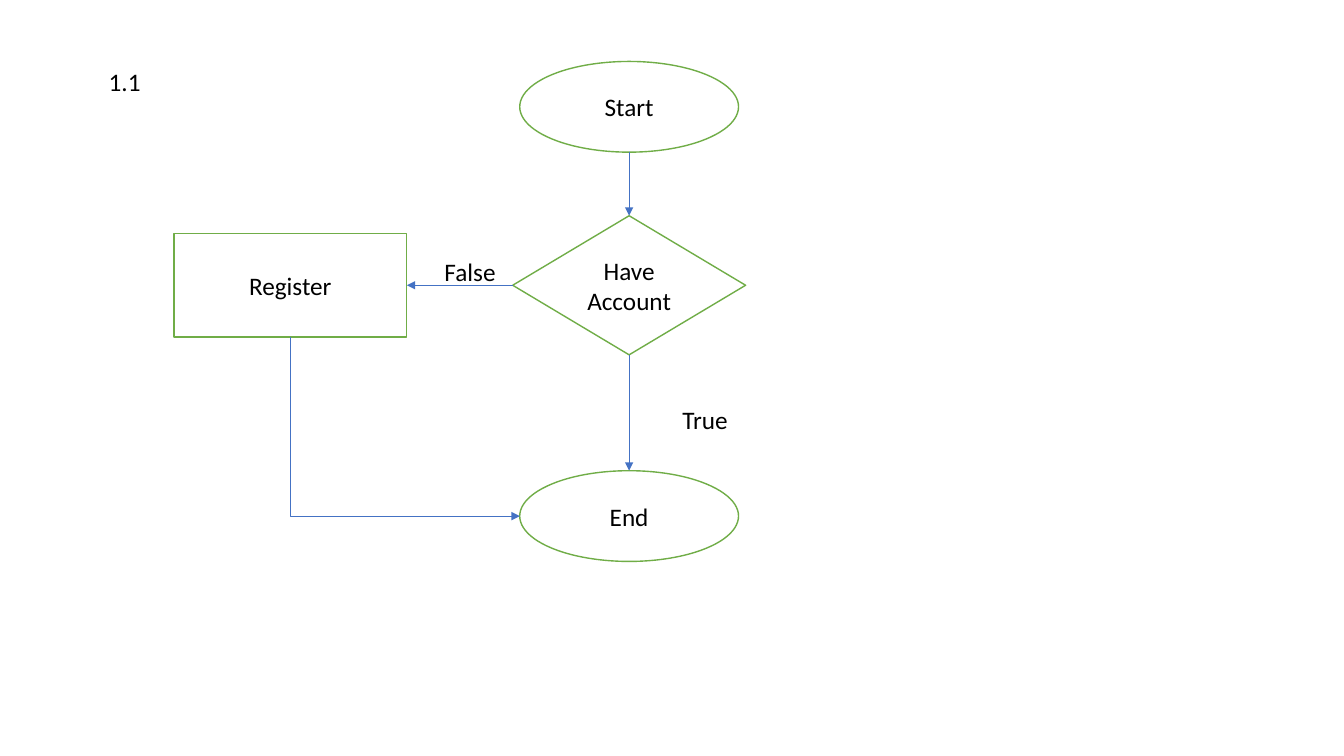
from lxml import etree
from pptx import Presentation, util as u
from pptx.dml.color import RGBColor
from pptx.enum import shapes, text
from pptx.oxml.ns import qn

GREEN, BLUE, WHITE, BLACK = "70AD47", "4472C4", "FFFFFF", "000000"
COLUMNS = {"side": 2.88, "main": 6.24}
ROWS = {"start": 1.06, "decision": 2.83, "end": 5.12}
KINDS = shapes.MSO_SHAPE
OVAL_SIZE = (2.17, 0.9)
SITES = {"top": 0, "left": 1, "bottom": 2, "right": 3}


def paint(color_format, color):
    """Set a colour format from a hex string."""
    color_format.rgb = RGBColor.from_string(color)


def write(shape, words, alignment):
    """Put words into a shape in the slide's text style."""
    shape.text_frame.text = words
    paragraph = shape.text_frame.paragraphs[0]
    paragraph.alignment = alignment
    font = paragraph.runs[0].font
    font.name, font.size = "Calibri", u.Pt(18)
    paint(font.color, BLACK)


def add_node(slide, kind, column, row, size, words):
    """Add a flowchart node centred on a grid column and row."""
    width, height = size
    left, top = COLUMNS[column] - width / 2, ROWS[row] - height / 2
    shape = slide.shapes.add_shape(kind, *map(u.Inches, (left, top, width, height)))
    shape.shadow.inherit = False
    shape.fill.solid()
    paint(shape.fill.fore_color, WHITE)
    paint(shape.line.color, GREEN)
    shape.line.width = u.Pt(1)
    shape.text_frame.vertical_anchor = text.MSO_ANCHOR.MIDDLE
    write(shape, words, text.PP_ALIGN.CENTER)
    return shape


def side_point(shape, side):
    """Return the middle of one side of a shape."""
    across = {"left": 0, "right": 1}.get(side, 0.5)
    down = {"top": 0, "bottom": 1}.get(side, 0.5)
    return int(shape.left + across * shape.width), int(shape.top + down * shape.height)


def glue(connector, tag, shape, side):
    """Attach one end of a connector to a side of a shape."""
    step = 2 if shape.auto_shape_type == KINDS.OVAL else 1
    properties = connector.element.find(".//" + qn("p:cNvCxnSpPr"))
    etree.SubElement(properties, qn(tag), id=str(shape.shape_id), idx=str(SITES[side] * step))


def bend_once(connector):
    """Turn an elbow into a single corner that goes down, then right."""
    left, top, width, height = connector.left, connector.top, connector.width, connector.height
    connector.left, connector.top = left + (width - height) // 2, top + (height - width) // 2
    connector.width, connector.height = height, width
    properties = connector.element.spPr
    transform = properties.find(qn("a:xfrm"))
    transform.set("rot", str(270 * 60000))
    transform.set("flipH", "1")
    properties.find(qn("a:prstGeom")).set("prst", "bentConnector2")


def add_arrow(slide, source, source_side, target, target_side, bent=False):
    """Connect two nodes with a thin arrow."""
    kind = shapes.MSO_CONNECTOR.ELBOW if bent else shapes.MSO_CONNECTOR.STRAIGHT
    ends = side_point(source, source_side) + side_point(target, target_side)
    connector = slide.shapes.add_connector(kind, *ends)
    glue(connector, "a:stCxn", source, source_side)
    glue(connector, "a:endCxn", target, target_side)
    if bent:
        bend_once(connector)
    paint(connector.line.color, BLUE)
    connector.line.width = u.Pt(0.5)
    line = connector.element.spPr.find(qn("a:ln"))
    etree.SubElement(line, qn("a:tailEnd"), type="triangle")
    etree.SubElement(connector.element.spPr, qn("a:effectLst"))


def add_label(slide, left, top, width, words):
    """Add a one-line text label."""
    box = slide.shapes.add_textbox(*map(u.Inches, (left, top, width, 0.4)))
    box.text_frame.word_wrap = False
    box.text_frame.auto_size = text.MSO_AUTO_SIZE.SHAPE_TO_FIT_TEXT
    write(box, words, text.PP_ALIGN.LEFT)


def main():
    """Build the account flowchart slide."""
    presentation = Presentation()
    presentation.slide_width, presentation.slide_height = u.Inches(13.33), u.Inches(7.5)
    slide = presentation.slides.add_slide(presentation.slide_layouts[6])

    start = add_node(slide, KINDS.OVAL, "main", "start", OVAL_SIZE, "Start")
    account = add_node(slide, KINDS.DIAMOND, "main", "decision", (2.31, 1.38), "Have Account")
    register = add_node(slide, KINDS.RECTANGLE, "side", "decision", (2.31, 1.03), "Register")
    end = add_node(slide, KINDS.OVAL, "main", "end", OVAL_SIZE, "End")

    add_arrow(slide, start, "bottom", account, "top")
    add_arrow(slide, account, "left", register, "right")
    add_arrow(slide, account, "bottom", end, "top")
    add_arrow(slide, register, "bottom", end, "left", bent=True)

    add_label(slide, 6.67, 3.96, 0.66, "True")
    add_label(slide, 4.31, 2.49, 0.71, "False")
    add_label(slide, 0.98, 0.61, 0.52, "1.1")
    presentation.save("out.pptx")


main()
